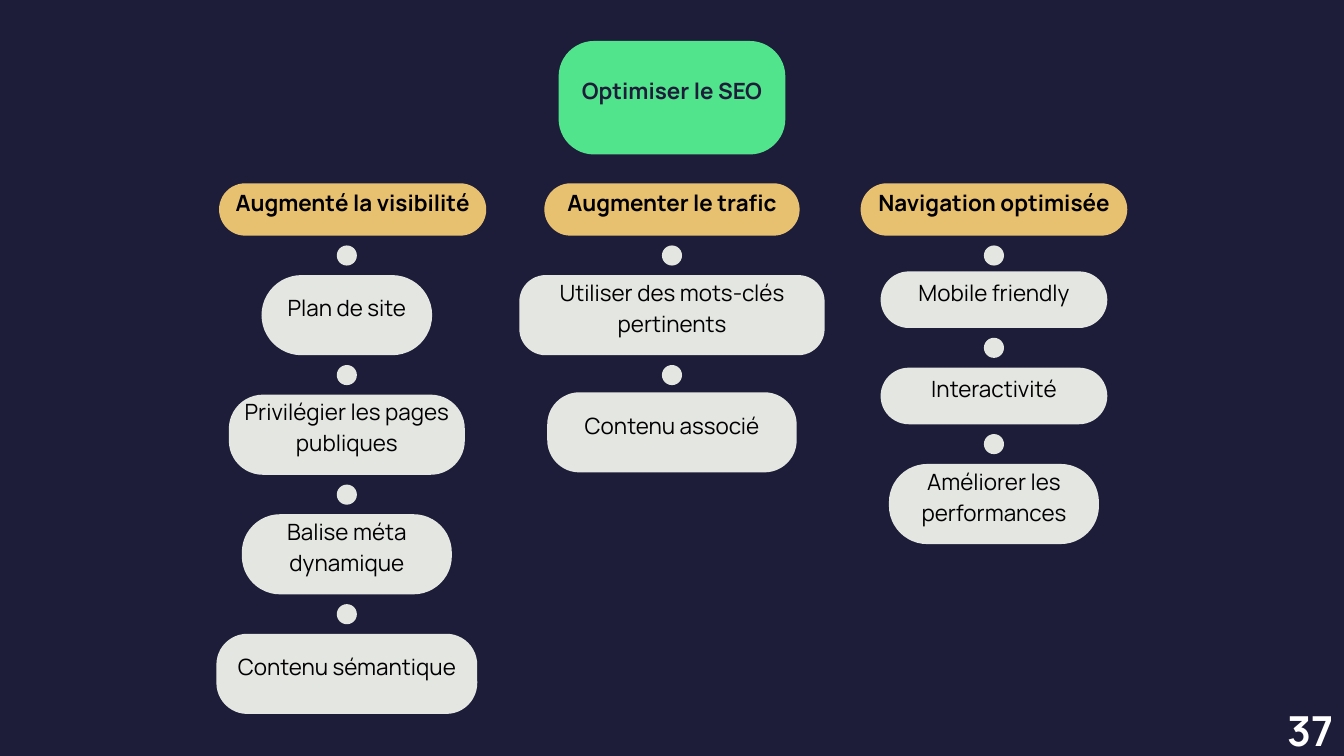
from pptx import Presentation
from pptx.dml.color import RGBColor
from pptx.enum.shapes import MSO_SHAPE
from pptx.enum.text import MSO_ANCHOR, PP_ALIGN
from pptx.util import Cm, Pt

NAVY, GREEN, GOLD, GREY = "1E1D39", "52E48C", "E8C170", "E4E6E2"
BLACK, WHITE = "000000", "FFFFFF"

HEADER_TOP, HEADER_HEIGHT = 6.93, 1.98
TALL, SHORT = 3.03, 2.14
DOT_SIZE, DOT_DROP = 0.76, 0.75

COLUMNS = [
    ("Augmenté la visibilité", 13.33, 10.1, 13.11, [
        ("Plan de site", 6.45, TALL, 1.49),
        ("Privilégier les pages publiques", 8.92, TALL, 1.49),
        ("Balise méta dynamique", 7.94, TALL, 1.49),
        ("Contenu sémantique", 9.86, TALL, 1.49),
    ]),
    ("Augmenter le trafic", 25.4, 9.65, 25.4, [
        ("Utiliser des mots-clés pertinents", 11.54, TALL, 1.49),
        ("Contenu associé", 9.43, TALL, 1.4),
    ]),
    ("Navigation optimisée", 37.57, 10.08, 37.57, [
        ("Mobile friendly", 8.57, SHORT, 1.35),
        ("Interactivité", 8.57, SHORT, 1.5),
        ("Améliorer les performances", 7.94, TALL, 1.5),
    ]),
]


def colour(value):
    return RGBColor.from_string(value)


class MindMap:
    font = "Manrope"
    rounding = 11.5
    text_lift = 0.7
    inset = 0.14

    def __init__(self, page):
        self.page = page
        page.background.fill.solid()
        page.background.fill.fore_color.rgb = colour(NAVY)

    def shape(self, kind, centre, top, width, height, fill):
        shape = self.page.shapes.add_shape(
            kind, Cm(centre - width / 2), Cm(top), Cm(width), Cm(height))
        shape.shadow.inherit = False
        shape.fill.solid()
        shape.fill.fore_color.rgb = colour(fill)
        shape.line.fill.background()
        return shape

    def text(self, words, centre, top, width, height, ink, bold=False,
             size=24, spacing=33.1, inset=0, anchor=MSO_ANCHOR.TOP):
        box = self.page.shapes.add_textbox(
            Cm(centre - width / 2), Cm(top), Cm(width), Cm(height))
        frame = box.text_frame
        frame.word_wrap = True
        frame.vertical_anchor = anchor
        frame.margin_left = frame.margin_right = Cm(inset)
        frame.margin_top = frame.margin_bottom = Cm(inset)
        para = frame.paragraphs[0]
        para.text = words
        para.alignment = PP_ALIGN.CENTER
        para.line_spacing = Pt(spacing)
        para.font.name = self.font
        para.font.size = Pt(size)
        para.font.bold = bold
        para.font.color.rgb = colour(ink)

    def bubble(self, words, centre, top, width, height, fill, ink=BLACK, bold=False):
        shape = self.shape(MSO_SHAPE.ROUNDED_RECTANGLE, centre, top, width, height, fill)
        shape.adjustments[0] = min(0.5, self.rounding / width / height)
        self.text(words, centre, top - self.text_lift, width, height + self.text_lift,
                  ink, bold, inset=self.inset, anchor=MSO_ANCHOR.MIDDLE)

    def dot(self, centre, middle):
        self.shape(MSO_SHAPE.OVAL, centre, middle - DOT_SIZE / 2, DOT_SIZE, DOT_SIZE, GREY)

    def column(self, title, title_centre, title_width, centre, items):
        self.bubble(title, title_centre, HEADER_TOP, title_width, HEADER_HEIGHT,
                    GOLD, bold=True)
        bottom = HEADER_TOP + HEADER_HEIGHT
        for words, width, height, gap in items:
            self.dot(centre, bottom + DOT_DROP)
            self.bubble(words, centre, bottom + gap, width, height, GREY)
            bottom += gap + height


def main():
    deck = Presentation()
    deck.slide_width, deck.slide_height = Cm(50.8), Cm(28.58)
    mind_map = MindMap(deck.slides.add_slide(deck.slide_layouts[6]))
    mind_map.bubble("Optimiser le SEO", 25.4, 1.55, 8.57, 4.29, GREEN, NAVY, True)
    for column in COLUMNS:
        mind_map.column(*column)
    mind_map.text("37", 49.52, 26.37, 2.56, 2.2, WHITE, True, size=44.3, spacing=61.2)
    deck.save("out.pptx")


if __name__ == "__main__":
    main()
